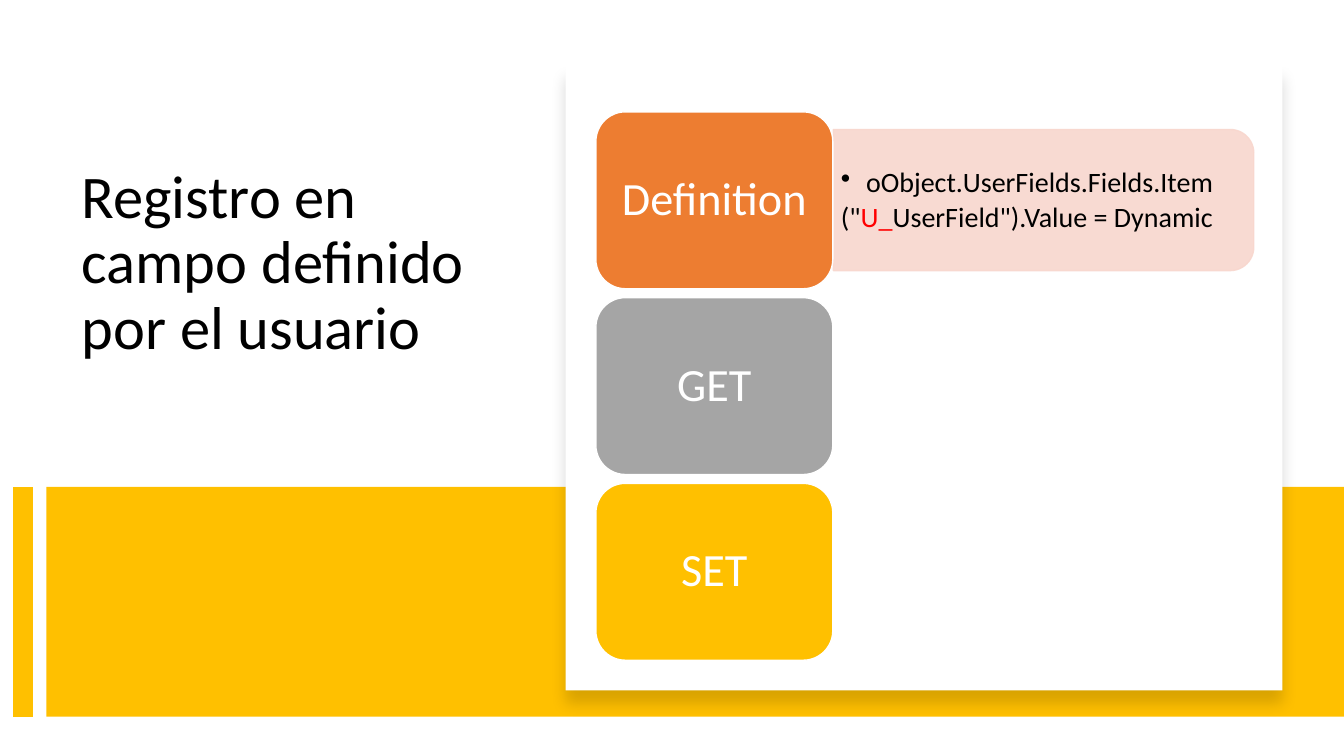
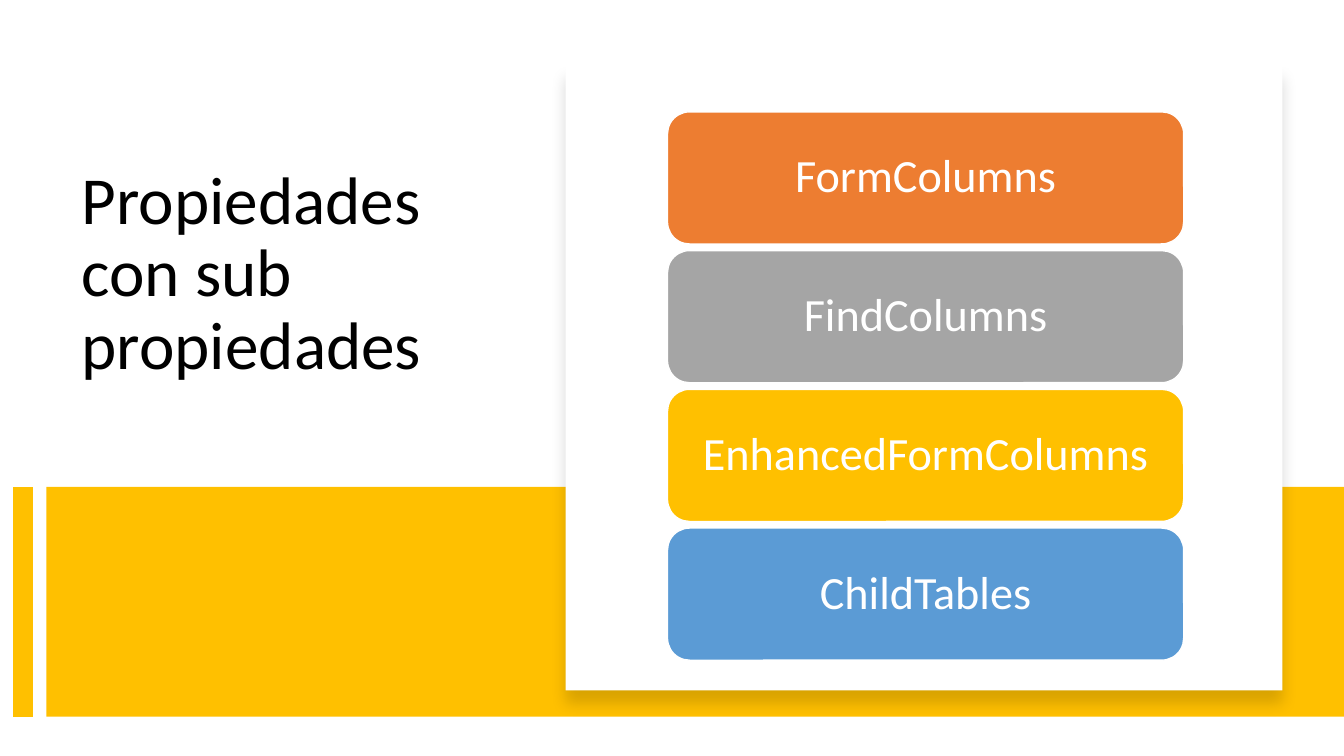
from lxml import etree
from pptx import Presentation
from pptx.dml.color import RGBColor
from pptx.enum.shapes import MSO_CONNECTOR, MSO_SHAPE
from pptx.enum.text import MSO_ANCHOR, MSO_AUTO_SIZE, PP_ALIGN
from pptx.oxml.ns import qn
from pptx.util import Inches, Pt

RECT = MSO_SHAPE.RECTANGLE
ROUNDED = MSO_SHAPE.ROUNDED_RECTANGLE
ROUNDED_TOP = MSO_SHAPE.ROUND_2_SAME_RECTANGLE
STRAIGHT = MSO_CONNECTOR.STRAIGHT
TOP, MIDDLE = MSO_ANCHOR.TOP, MSO_ANCHOR.MIDDLE
NO_AUTOFIT = MSO_AUTO_SIZE.NONE
LEFT, CENTER = PP_ALIGN.LEFT, PP_ALIGN.CENTER

BLACK = RGBColor(0x00, 0x00, 0x00)
WHITE = RGBColor(0xFF, 0xFF, 0xFF)
RED = RGBColor(0xFF, 0x00, 0x00)
ORANGE = RGBColor(0xED, 0x7D, 0x31)
GRAY = RGBColor(0xA5, 0xA5, 0xA5)
GOLD = RGBColor(0xFF, 0xC0, 0x00)
BLUE = RGBColor(0x5B, 0x9B, 0xD5)
PEACH = RGBColor(0xF8, 0xD7, 0xCE)

FONT = "Calibri"
BAND_TOP, BAND_HEIGHT = 4.83, 2.28
STACK_TOP, STACK_HEIGHT = 1.11, 5.44
GAP_RATIO = 0.05  # gap between cards, as a share of card height

SLIDES = [
    {"title": "Registro en campo definido por el usuario", "title_size": 43.2,
     "left": 5.91, "width": 2.35, "callout": True,
     "cards": [("Definition", ORANGE), ("GET", GRAY), ("SET", GOLD)]},
    {"title": "Propiedades con sub propiedades", "title_size": 48,
     "left": 6.62, "width": 5.12, "callout": False,
     "cards": [("FormColumns", ORANGE), ("FindColumns", GRAY),
               ("EnhancedFormColumns", GOLD), ("ChildTables", BLUE)]},
]
CALLOUT_LINES = [
    [("oObject.UserFields.Fields.Item", BLACK)],
    [("(\"", BLACK), ("U_", RED), ("UserField\").Value = Dynamic", BLACK)],
]


def add_block(slide, preset, box, fill, line=None):
    """Add a filled shape without shadow; box is left, top, width, height in inches."""
    block = slide.shapes.add_shape(preset, *map(Inches, box))
    block.shadow.inherit = False
    block.fill.solid()
    block.fill.fore_color.rgb = fill
    if line is None:
        block.line.fill.background()
    else:
        block.line.color.rgb = line
        block.line.width = Pt(1)
    return block


def style_paragraph(paragraph, size, color, align):
    """Apply the deck's font and line spacing to a paragraph."""
    paragraph.font.name = FONT
    paragraph.font.size = Pt(size)
    paragraph.font.color.rgb = color
    paragraph.alignment = align
    paragraph.line_spacing = 0.9


prs = Presentation()
prs.slide_width, prs.slide_height = Inches(13.33), Inches(7.5)
title_only = prs.slide_layouts[5]

for content in SLIDES:
    slide = prs.slides.add_slide(title_only)

    title = slide.shapes.title
    title.left, title.top = Inches(0.71), Inches(1.6)
    title.width, title.height = Inches(4.15), Inches(2.94)
    title_frame = title.text_frame
    title_frame.text = content["title"]
    title_frame.vertical_anchor = TOP
    title_frame.word_wrap = True
    title_frame.auto_size = NO_AUTOFIT
    style_paragraph(title_frame.paragraphs[0], content["title_size"], BLACK, LEFT)

    # Gold band with its side stripe
    add_block(slide, RECT, (0.46, BAND_TOP, 12.87, BAND_HEIGHT), GOLD)
    stripe = slide.shapes.add_connector(
        STRAIGHT, Inches(0.23), Inches(BAND_TOP),
        Inches(0.23), Inches(BAND_TOP + BAND_HEIGHT))
    stripe.line.color.rgb = GOLD
    stripe.line.width = Pt(14)
    etree.SubElement(stripe._element.spPr, qn("a:effectLst"))

    # White panel with a soft shadow below
    panel = add_block(slide, RECT, (5.61, 0.64, 7.11, 6.21), WHITE)
    effects = panel._element.spPr.find(qn("a:effectLst"))
    shadow = etree.SubElement(effects, qn("a:outerShdw"), blurRad=str(Pt(11)),
                              dist=str(Pt(10)), dir="5400000",
                              algn="t", rotWithShape="0")
    shadow_color = etree.SubElement(shadow, qn("a:srgbClr"), val=str(BLACK))
    etree.SubElement(shadow_color, qn("a:alpha"), val="15000")

    if content["callout"]:
        callout = add_block(slide, ROUNDED_TOP, (9.65, -0.1, 1.4, 4.17), PEACH, PEACH)
        callout.rotation = 90
        for color in callout._element.spPr.iter(qn("a:srgbClr")):
            etree.SubElement(color, qn("a:alpha"), val="90000")

        code = slide.shapes.add_textbox(*map(Inches, (8.26, 1.36, 4.1, 1.27)))
        code_frame = code.text_frame
        code_frame.word_wrap = True
        code_frame.vertical_anchor = MIDDLE
        code_frame.margin_left = code_frame.margin_right = Inches(0.08)
        code_frame.margin_top = code_frame.margin_bottom = Inches(0.04)
        for index, runs in enumerate(CALLOUT_LINES):
            paragraph = code_frame.add_paragraph() if index else code_frame.paragraphs[0]
            style_paragraph(paragraph, 20, BLACK, LEFT)
            paragraph.space_after = Pt(3)
            properties = paragraph._p.get_or_add_pPr()
            properties.set("marL", str(Inches(0.25)))
            properties.set("indent", str(Inches(-0.25)))
            if index == 0:
                bullet = etree.Element(qn("a:buChar"), char="•")
            else:
                bullet = etree.Element(qn("a:buNone"))
            properties.find(qn("a:defRPr")).addprevious(bullet)
            for text, color in runs:
                run = paragraph.add_run()
                run.text = text
                run.font.name = FONT
                run.font.size = Pt(20)
                run.font.color.rgb = color

    # Cards share the stack height evenly
    count = len(content["cards"])
    card_height = STACK_HEIGHT / (count + GAP_RATIO * (count - 1))
    for row, (label, color) in enumerate(content["cards"]):
        card_top = STACK_TOP + row * card_height * (1 + GAP_RATIO)
        card = add_block(slide, ROUNDED,
                         (content["left"], card_top, content["width"], card_height),
                         color, WHITE)
        card_frame = card.text_frame
        card_frame.text = label
        card_frame.word_wrap = True
        card_frame.vertical_anchor = MIDDLE
        card_frame.margin_left = card_frame.margin_right = Inches(0.14)
        card_frame.margin_top = card_frame.margin_bottom = Inches(0.07)
        style_paragraph(card_frame.paragraphs[0], 33, WHITE, CENTER)

prs.save("out.pptx")
